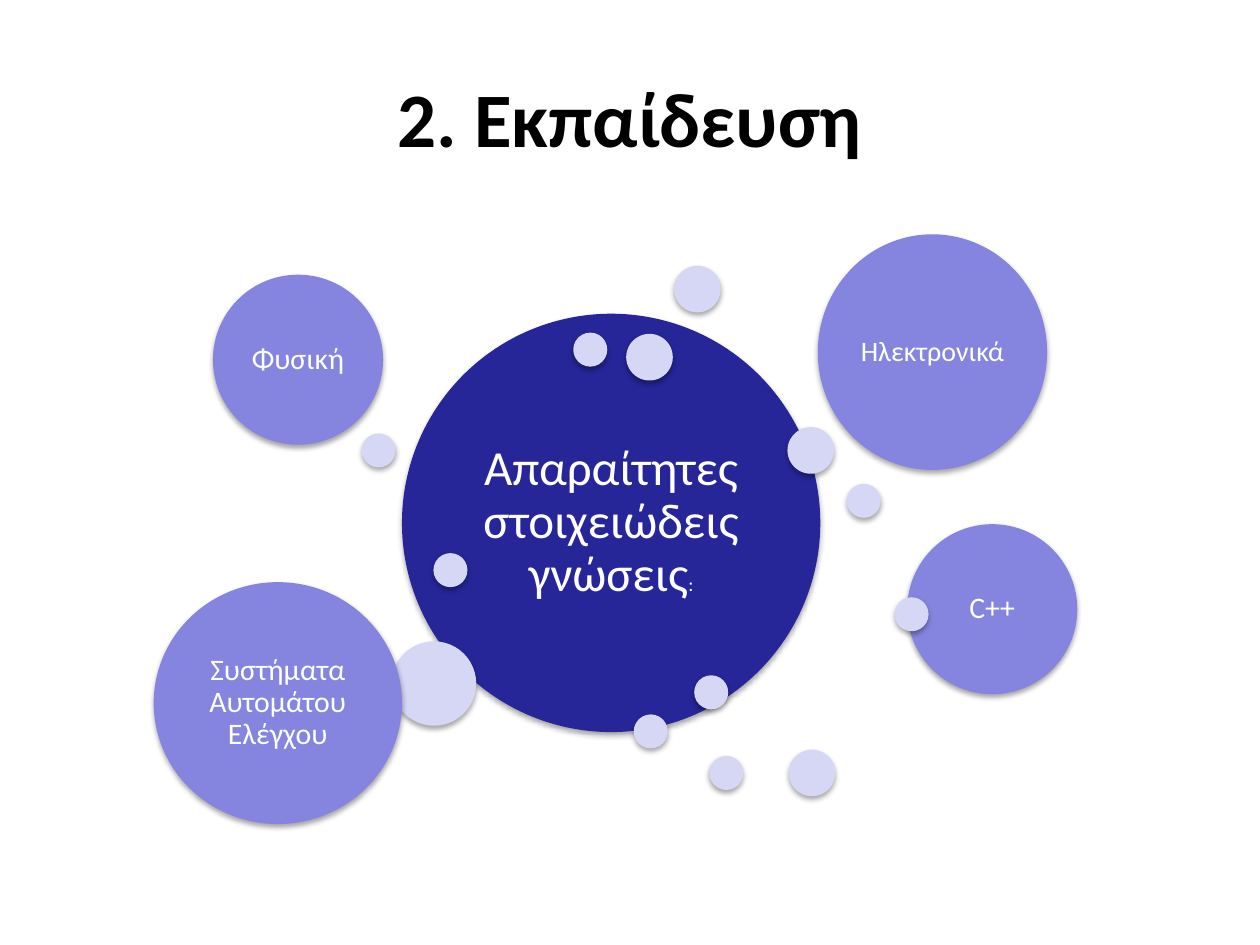
from lxml import etree
from pptx import Presentation, util as u
from pptx.dml.color import RGBColor
from pptx.enum import shapes, text
from pptx.oxml.ns import qn

TITLE = "2. Εκπαίδευση"
CENTRE = [("Απαραίτητες στοιχειώδεις γνώσεις", 28), (":", 11)]
BUBBLES = [
    ("core", 3.19, 2.49, 3.32, 3.32, CENTRE),
    ("medium", 5.35, 2.11),
    ("small", 5.03, 5.67),
    ("small", 6.72, 3.84),
    ("medium", 6.26, 5.95),
    ("small", 4.55, 2.64),
    ("small", 3.44, 4.39),
    ("topic", 1.69, 2.18, 1.35, 1.35, [("Φυσική", 17)]),
    ("medium", 4.97, 2.65),
    ("large", 3.11, 5.09),
    ("topic", 6.49, 1.86, 1.82, 1.87, [("Ηλεκτρονικά", 16)]),
    ("medium", 6.25, 3.39),
    ("small", 2.87, 3.44),
    ("small", 5.51, 5.36),
    ("topic", 7.2, 4.16, 1.35, 1.35, [("C++", 17)]),
    ("small", 7.1, 4.74),
    ("topic", 1.22, 4.62, 1.97, 1.92, [("Συστήματα Αυτομάτου Ελέγχου", 17)]),
    ("small", 5.63, 6),
]
THEME = {
    "font": "Calibri", "title_size": 44, "title": "000000", "label": "FFFFFF",
    "fill": {"core": "262699", "topic": "8585E0"}, "dot": "D6D6F5",
    "dot_size": {"small": 0.27, "medium": 0.37, "large": 0.67},
    "inset": {"core": 0.12, "topic": 0.07},
}


def write(tf, runs, color, bold=False, inset=None, spacing=None):
    tf.word_wrap = True
    tf.auto_size = text.MSO_AUTO_SIZE.NONE
    tf.vertical_anchor = text.MSO_ANCHOR.MIDDLE
    if inset is not None:
        tf.margin_left = tf.margin_right = u.Inches(inset)
        tf.margin_top = tf.margin_bottom = u.Inches(inset)
    p = tf.paragraphs[0]
    p.alignment = text.PP_ALIGN.CENTER
    p.line_spacing = spacing
    for words, size in runs:
        r = p.add_run()
        r.text = words
        r.font.name = THEME["font"]
        r.font.size = u.Pt(size)
        r.font.bold = bold
        r.font.color.rgb = RGBColor.from_string(color)


def add_shadow(sp):
    sp.shadow.inherit = False
    effects = sp._element.spPr.find(qn("a:effectLst"))
    outer = etree.SubElement(effects, qn("a:outerShdw"), blurRad=str(u.Pt(3.1)),
                             dist=str(u.Pt(1.8)), dir="5400000", rotWithShape="0")
    color = etree.SubElement(outer, qn("a:srgbClr"), val="000000")
    etree.SubElement(color, qn("a:alpha"), val="35000")


def add_bubble(s, kind, x, y, w=None, h=None, label=None):
    w = w or THEME["dot_size"][kind]
    h = h or w
    sp = s.shapes.add_shape(shapes.MSO_SHAPE.OVAL, *map(u.Inches, (x, y, w, h)))
    sp.fill.solid()
    sp.fill.fore_color.rgb = RGBColor.from_string(THEME["fill"].get(kind, THEME["dot"]))
    sp.line.fill.background()
    add_shadow(sp)
    if label:
        write(sp.text_frame, label, THEME["label"], inset=THEME["inset"][kind], spacing=0.9)


def main():
    prs = Presentation()
    prs.slide_width, prs.slide_height = u.Inches(10), u.Inches(7.5)
    s = prs.slides.add_slide(prs.slide_layouts[5])
    title = s.shapes.title
    title.left, title.top, title.width, title.height = map(u.Inches, (0.5, 0.3, 9, 1.25))
    write(title.text_frame, [(TITLE, THEME["title_size"])], THEME["title"], bold=True)
    for bubble in BUBBLES:
        add_bubble(s, *bubble)
    prs.save("out.pptx")


if __name__ == "__main__":
    main()
